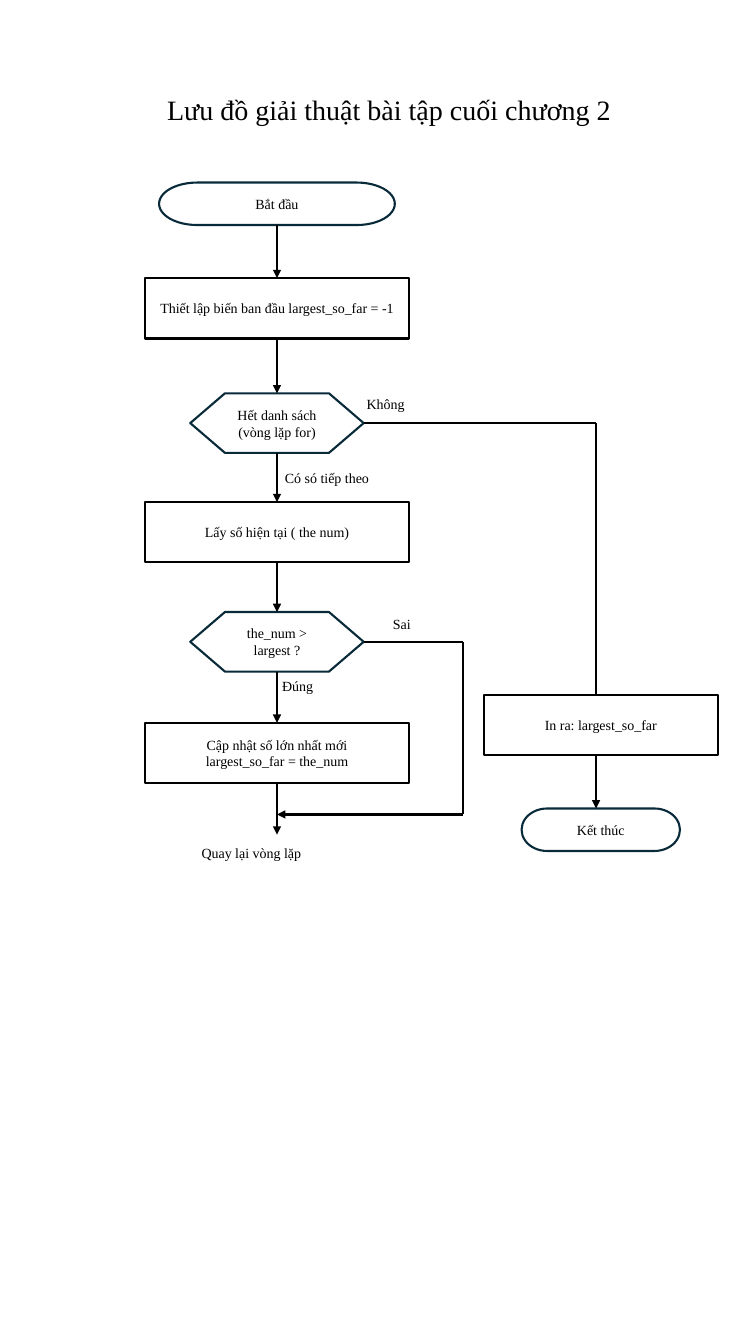
from itertools import pairwise

from lxml import etree
from pptx import Presentation
from pptx.dml.color import RGBColor
from pptx.enum.shapes import MSO_CONNECTOR, MSO_SHAPE as Shape
from pptx.enum.text import MSO_ANCHOR, MSO_AUTO_SIZE, PP_ALIGN
from pptx.oxml.ns import qn
from pptx.util import Cm, Pt

TOP, BOTTOM, RIGHT = 0, 2, 3
MAIN_X, RIGHT_X = 6.98, 15.14
EXIT_X = 15.02
BYPASS_X, MERGE_Y = 11.66, 20.52


def set_color(color_format, value):
    color_format.rgb = RGBColor.from_string(value)


class Flowchart:
    font_name = "Times New Roman"
    black, white, navy = "000000", "FFFFFF", "092A39"
    line_width = Pt(1.5)

    def __init__(self, slide):
        self.slide = slide

    def set_text(self, frame, text, size=10, align=PP_ALIGN.CENTER):
        frame.word_wrap = True
        frame.text = text
        for paragraph in frame.paragraphs:
            paragraph.alignment = align
            paragraph.font.name = self.font_name
            paragraph.font.size = Pt(size)
            set_color(paragraph.font.color, self.black)

    def title(self, text, left, top, width, height):
        title = self.slide.shapes.title
        title.left, title.top = Cm(left), Cm(top)
        title.width, title.height = Cm(width), Cm(height)
        frame = title.text_frame
        self.set_text(frame, text, size=20)
        frame.auto_size = MSO_AUTO_SIZE.NONE
        frame.vertical_anchor = MSO_ANCHOR.TOP
        frame.paragraphs[0].line_spacing = 0.9
        frame.paragraphs[0].space_before = Pt(0)

    def node(self, kind, text, center_x, top, width, height, line_color):
        shape = self.slide.shapes.add_shape(
            kind, Cm(center_x - width / 2), Cm(top), Cm(width), Cm(height))
        shape.shadow.inherit = False
        shape.fill.solid()
        set_color(shape.fill.fore_color, self.white)
        set_color(shape.line.color, line_color)
        shape.line.width = self.line_width
        shape.text_frame.vertical_anchor = MSO_ANCHOR.MIDDLE
        self.set_text(shape.text_frame, text)
        return shape

    def step(self, text, top, center_x=MAIN_X, width=6.65):
        return self.node(Shape.RECTANGLE, text, center_x, top, width, 1.52, self.black)

    def decision(self, text, top):
        return self.node(Shape.FLOWCHART_PREPARATION, text, MAIN_X, top, 4.37, 1.5, self.navy)

    def terminal(self, text, top, center_x, width):
        return self.node(Shape.FLOWCHART_TERMINATOR, text, center_x, top, width, 1.07, self.navy)

    def label(self, text, left, top, width):
        box = self.slide.shapes.add_textbox(Cm(left), Cm(top), Cm(width), Cm(0.68))
        self.set_text(box.text_frame, text, align=PP_ALIGN.LEFT)

    def line(self, start, end, arrow=False):
        connector = self.slide.shapes.add_connector(
            MSO_CONNECTOR.STRAIGHT, *map(Cm, start), *map(Cm, end))
        set_color(connector.line.color, self.black)
        connector.line.width = self.line_width
        properties = connector._element.spPr
        if arrow:
            outline = properties.find(qn("a:ln"))
            etree.SubElement(outline, qn("a:tailEnd"), type="triangle")
        etree.SubElement(properties, qn("a:effectLst"))
        return connector

    def route(self, source, points, arrow=False):
        """Draw a bent line that leaves the right side of source."""
        y = (source.top + source.height / 2) / Cm(1)
        x = (source.left + source.width) / Cm(1)
        corners = [(x, y), (points[0][0], y), *points]
        segments = list(pairwise(corners))
        for index, (start, end) in enumerate(segments):
            connector = self.line(start, end, arrow and index == len(segments) - 1)
            if index == 0:
                connector.begin_connect(source, RIGHT)

    def link(self, upper, lower):
        connector = self.line((0, 0), (1, 1), arrow=True)
        connector.begin_connect(upper, BOTTOM)
        connector.end_connect(lower, TOP)


def main():
    presentation = Presentation()
    presentation.slide_width, presentation.slide_height = Cm(19.05), Cm(33.86)
    chart = Flowchart(presentation.slides.add_slide(presentation.slide_layouts[5]))

    chart.title("Lưu đồ giải thuật bài tập cuối chương 2", 2.67, 2.31, 14.27, 8.18)

    main_flow = [
        chart.terminal("Bắt đầu", 4.6, MAIN_X, 5.94),
        chart.step("Thiết lập biến ban đầu largest_so_far = -1", 7.01),
        chart.decision("Hết danh sách\n(vòng lặp for)", 9.91),
        chart.step("Lấy số hiện tại ( the num)", 12.65),
        chart.decision("the_num > largest ?", 15.42),
        chart.step("Cập nhật số lớn nhất mới\nlargest_so_far = the_num", 18.21),
    ]
    for upper, lower in pairwise(main_flow):
        chart.link(upper, lower)
    loop, compare, update = main_flow[2], main_flow[4], main_flow[5]

    back = chart.line((MAIN_X, 19.73), (MAIN_X, 21.03), arrow=True)
    back.begin_connect(update, BOTTOM)

    chart.step("In ra: largest_so_far", 17.5, RIGHT_X, 5.89)
    chart.terminal("Kết thúc", 20.37, RIGHT_X, 3.99)
    chart.line((EXIT_X, 19.02), (EXIT_X, 20.37), arrow=True)

    chart.route(loop, [(EXIT_X, 17.5)])
    chart.route(compare, [(BYPASS_X, MERGE_Y), (MAIN_X, MERGE_Y)], arrow=True)

    for text, left, top, width in (
        ("Không", 8.99, 9.83, 2.95),
        ("Có só tiếp theo", 6.93, 11.71, 2.95),
        ("Sai", 9.65, 15.39, 1.45),
        ("Đúng", 6.86, 16.94, 2.46),
        ("Quay lại vòng lặp", 4.83, 21.16, 9.53),
    ):
        chart.label(text, left, top, width)

    presentation.save("out.pptx")


if __name__ == "__main__":
    main()
